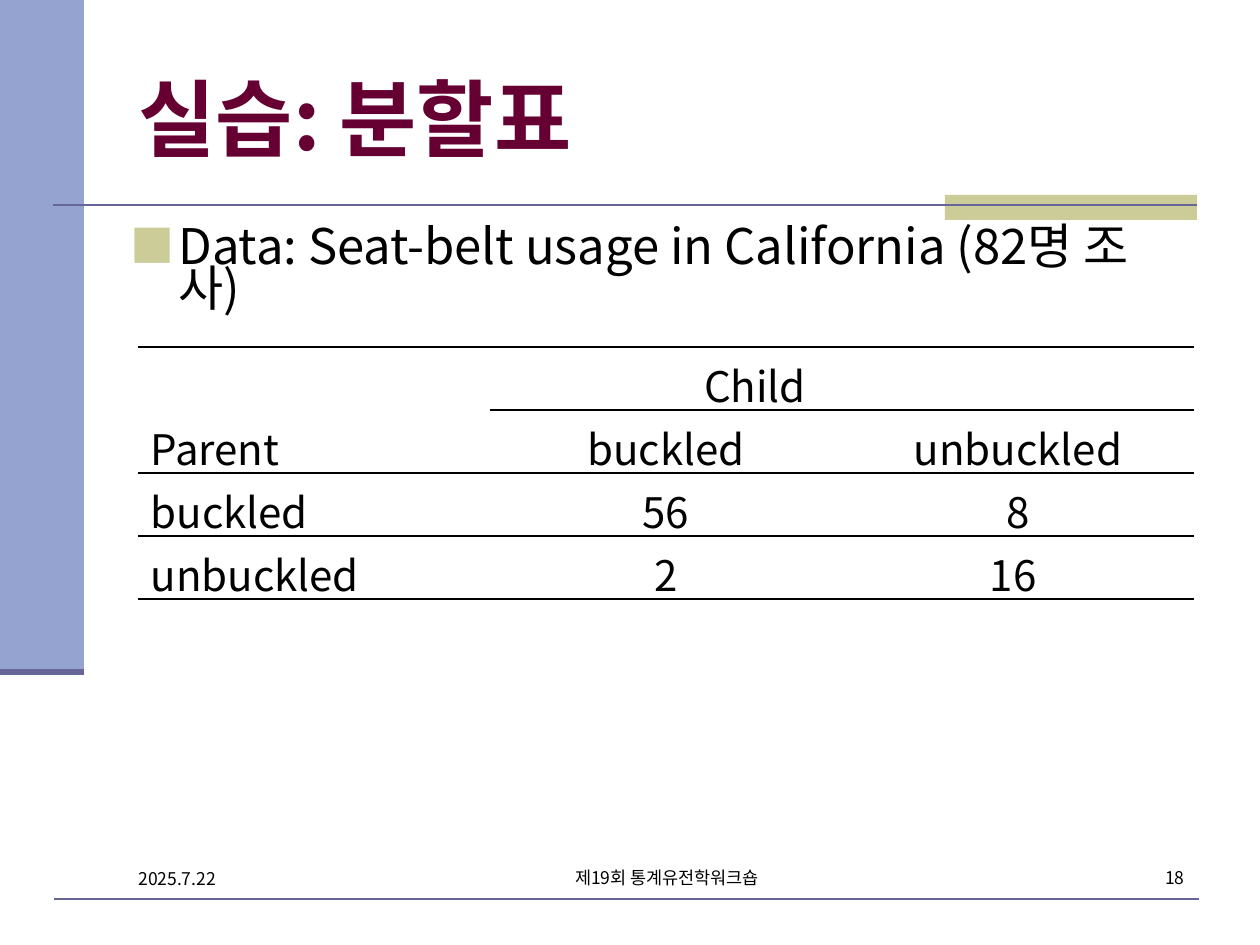
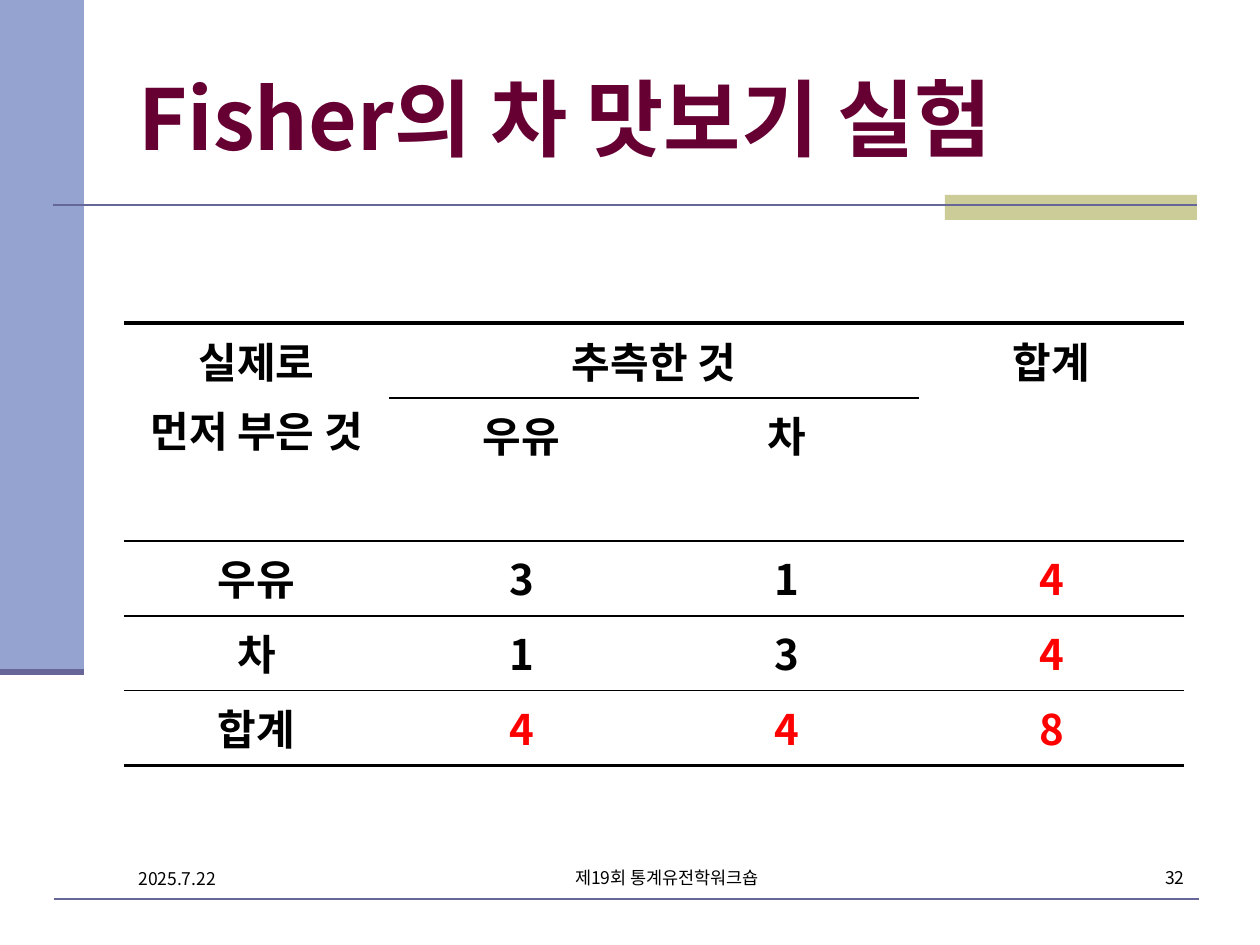
from dataclasses import dataclass

from lxml import etree
from pptx import Presentation
from pptx import util as u
from pptx.dml.color import RGBColor
from pptx.enum import shapes, text
from pptx.oxml.ns import qn

EMU_PER_PX = 914400 / 126
SLIDE_SIZE = (1260, 945)
NO_STYLE = "{2D5ABB26-0587-4C30-8999-92F81FD0307C}"


@dataclass(frozen=True)
class Theme:
    font: str = "Noto Sans CJK KR"
    ink: str = "000000"
    title: str = "660033"
    total: str = "FF0000"
    side_band: str = "95A3D1"
    accent: str = "CCCC99"
    rule: str = "666699"
    title_pt: int = 48
    body_pt: int = 28
    table_pt: int = 24
    footer_pt: int = 10


T = Theme()
LEFT, CENTER, RIGHT = text.PP_ALIGN.LEFT, text.PP_ALIGN.CENTER, text.PP_ALIGN.RIGHT

BANDS = [((0, 0, 84, 672), T.side_band), ((945, 195, 252, 25), T.accent)]
RULES = [((53, 205, 1197, 205), 1.5), ((0, 672, 84, 672), 3.5),
         ((54, 899, 1199, 899), 1.5)]
TITLE_BOX = (126, 38, 1071, 157)
BODY_BOX = (118, 224, 1071, 679)
BODY_INDENT = 48
DATE, EVENT = "2025.7.22", "제19회 통계유전학워크숍"
FOOTER_BOXES = [((126, 862, 273, 63), LEFT), ((462, 861, 410, 63), CENTER),
                ((935, 861, 262, 63), RIGHT)]

# Table rules: (row edge, first column, width in points); merges: (from cell, to cell)
SLIDES = [
    {
        "title": "실습: 분할표",
        "number": "18",
        "bullet": "Data: Seat-belt usage in California (82명 조사)",
        "table": {
            "at": (138, 347), "col": 352, "row": 63,
            "cells": [["Child", "", ""],
                      ["Parent", "buckled", "unbuckled"],
                      ["buckled", "56", "8"],
                      ["unbuckled", "2", "16 "]],
            "merges": [((0, 0), (0, 2))],
            "rules": [(0, 0, 3, 1), (1, 1, 3, 1), (2, 0, 3, 1), (4, 0, 3, 1)],
            "left_labels": True, "bold": False, "totals": False,
            "heading_shift": 178,
        },
    },
    {
        "title": "Fisher의 차 맛보기 실험",
        "number": "32",
        "table": {
            "at": (124, 323), "col": 265, "row": 75,
            "cells": [["실제로\n먼저 부은 것", "추측한 것", "", "합계"],
                      ["", "우유", "차", ""],
                      ["우유", "3", "1", "4"],
                      ["차", "1", "3", "4"],
                      ["합계", "4", "4", "8"]],
            "merges": [((0, 0), (1, 0)), ((0, 1), (0, 2)), ((0, 3), (1, 3))],
            "rules": [(0, 0, 4, 2.25), (1, 1, 3, 1), (2, 0, 4, 1),
                      (4, 0, 4, 1), (5, 0, 4, 2.25)],
            "left_labels": False, "bold": True, "totals": True,
            "heading_shift": 0,
        },
    },
]


def px(n):
    return u.Emu(round(n * EMU_PER_PX))


def box(lengths):
    return [px(n) for n in lengths]


def rgb(color):
    return RGBColor.from_string(color)


def sub(parent, tag, **attrs):
    return etree.SubElement(parent, qn(tag), attrs)


def add_run(p, words, size, color=T.ink, bold=False):
    r = p.add_run()
    r.text = words
    r.font.size, r.font.bold, r.font.name = u.Pt(size), bold, T.font
    r.font.color.rgb = rgb(color)
    sub(r.font._element, "a:ea", typeface=T.font)


def decorate(layout, slide):
    """Draw the shared bands and rules, then hand them to the layout."""
    parts = []
    for place, color in BANDS:
        sp = slide.shapes.add_shape(shapes.MSO_SHAPE.RECTANGLE, *box(place))
        sp.shadow.inherit = False
        sp.fill.solid()
        sp.fill.fore_color.rgb = rgb(color)
        sp.line.fill.background()
        parts.append(sp)
    for ends, width in RULES:
        line = slide.shapes.add_connector(shapes.MSO_CONNECTOR.STRAIGHT, *box(ends))
        line.line.color.rgb = rgb(T.rule)
        line.line.width = u.Pt(width)
        sub(line.element.spPr, "a:effectLst")
        parts.append(line)
    for part in parts:
        layout.shapes.element.append(part.element)


def add_title(slide, words):
    sp = slide.shapes.title
    sp.left, sp.top, sp.width, sp.height = box(TITLE_BOX)
    tf = sp.text_frame
    tf.word_wrap = True
    tf.auto_size = text.MSO_AUTO_SIZE.NONE
    tf.vertical_anchor = text.MSO_ANCHOR.MIDDLE
    p = tf.paragraphs[0]
    p.alignment = LEFT
    add_run(p, words, T.title_pt, T.title, bold=True)


def add_text(slide, place, words, size, align=LEFT):
    tf = slide.shapes.add_textbox(*box(place)).text_frame
    tf.word_wrap = True
    p = tf.paragraphs[0]
    p.alignment = align
    add_run(p, words, size)
    return p


def add_bullet(slide, words):
    p = add_text(slide, BODY_BOX, words, T.body_pt)
    p.line_spacing = 0.72
    pPr = p._p.get_or_add_pPr()
    pPr.set("marL", str(px(BODY_INDENT)))
    pPr.set("indent", str(-px(BODY_INDENT)))
    sub(sub(pPr, "a:buClr"), "a:srgbClr", val=T.accent)
    sub(pPr, "a:buSzPct", val="90000")
    sub(pPr, "a:buFont", typeface=T.font)
    sub(pPr, "a:buChar", char="■")


def add_border(cell, side, width):
    ln = sub(cell._tc.get_or_add_tcPr(), side, w=str(u.Pt(width)))
    sub(sub(ln, "a:solidFill"), "a:srgbClr", val=T.ink)


def fill_cell(cell, words, align, color, bold):
    tf = cell.text_frame
    for i, line in enumerate(words.split("\n")):
        p = tf.add_paragraph() if i else tf.paragraphs[0]
        p.alignment = align
        if i:
            p.space_before = u.Pt(T.table_pt * 0.2)
        add_run(p, line, T.table_pt, color, bold)


def add_table(slide, spec_):
    rows = spec_["cells"]
    n_rows, n_cols = len(rows), len(rows[0])
    size = (n_cols * spec_["col"], n_rows * spec_["row"])
    table = slide.shapes.add_table(n_rows, n_cols, *box(spec_["at"] + size)).table
    table.first_row = table.horz_banding = False
    table._tbl.tblPr.find(qn("a:tableStyleId")).text = NO_STYLE
    for column in table.columns:
        column.width = px(spec_["col"])
    for row in table.rows:
        row.height = px(spec_["row"])
    for start, end in spec_["merges"]:
        table.cell(*start).merge(table.cell(*end))

    widths = {(edge, c): width for edge, first, stop, width in spec_["rules"]
              for c in range(first, stop)}
    for r, row in enumerate(rows):
        for c, words in enumerate(row):
            cell = table.cell(r, c)
            for side, edge in (("a:lnT", r), ("a:lnB", r + 1)):
                if (edge, c) in widths:
                    add_border(cell, side, widths[edge, c])
            cell.fill.background()
            if not words:
                continue
            is_label = spec_["left_labels"] and r > 0 and c == 0
            is_total = (spec_["totals"] and r > 1 and c > 0
                        and (r == n_rows - 1 or c == n_cols - 1))
            fill_cell(cell, words, LEFT if is_label else CENTER,
                      T.total if is_total else T.ink, spec_["bold"])
    if spec_["heading_shift"]:
        heading = table.cell(0, 0)
        heading.margin_left += px(spec_["heading_shift"])


def main():
    prs = Presentation()
    prs.slide_width, prs.slide_height = box(SLIDE_SIZE)
    layout = prs.slide_layouts[5]
    for i, content in enumerate(SLIDES):
        slide = prs.slides.add_slide(layout)
        if i == 0:
            decorate(layout, slide)
        add_title(slide, content["title"])
        if "bullet" in content:
            add_bullet(slide, content["bullet"])
        add_table(slide, content["table"])
        for (place, align), words in zip(FOOTER_BOXES, (DATE, EVENT, content["number"])):
            add_text(slide, place, words, T.footer_pt, align)
    prs.save("out.pptx")


if __name__ == "__main__":
    main()
